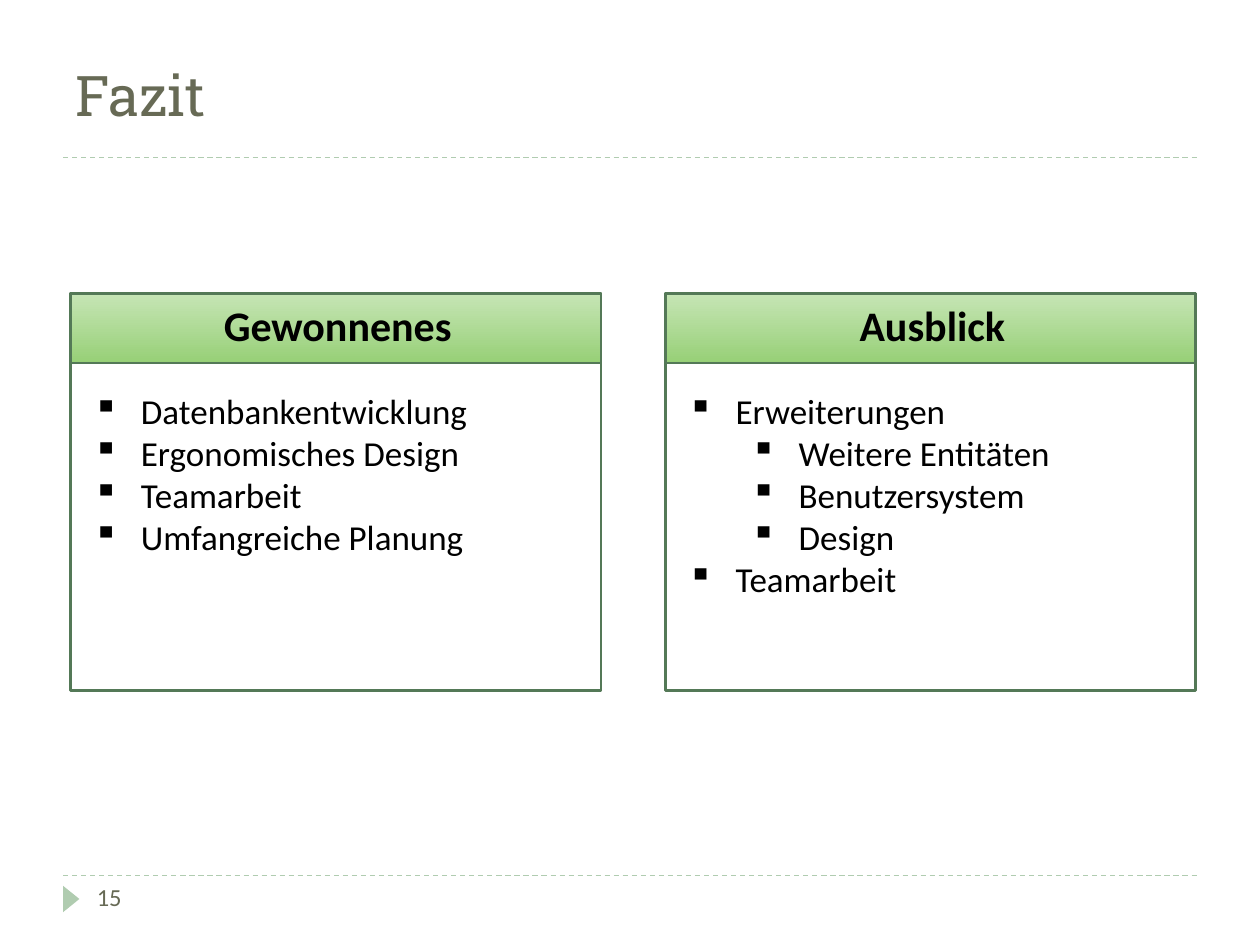
from dataclasses import dataclass

from lxml import etree
from pptx import Presentation
from pptx.dml.color import RGBColor
from pptx.enum import dml, shapes, text
from pptx.oxml import ns
from pptx.util import Inches, Pt

TITLE = "Fazit"
PAGE_NUMBER = "15"
PANELS = [
    ("Gewonnenes", [
        ("Datenbankentwicklung", 0),
        ("Ergonomisches Design", 0),
        ("Teamarbeit", 0),
        ("Umfangreiche Planung", 0),
    ]),
    ("Ausblick", [
        ("Erweiterungen", 0),
        ("Weitere Entitäten", 1),
        ("Benutzersystem", 1),
        ("Design", 1),
        ("Teamarbeit", 0),
    ]),
]


@dataclass(frozen=True)
class Theme:
    title_font: str = "Roboto Slab"
    body_font: str = "Calibri"
    title_size: int = 32
    heading_size: int = 24
    body_size: int = 20
    number_size: int = 14
    muted: str = "676A55"
    ink: str = "000000"
    accent: str = "B0CCB0"
    border: str = "547957"
    paper: str = "FFFFFF"
    header_bottom: str = "97D077"
    header_top: str = "C6E5B5"


THEME = Theme()
RULES_Y = (6.95, 1.25)
RULE_LEFT, RULE_RIGHT = 0.5, 9.5
PANEL_LEFT, PANEL_TOP, PANEL_PITCH = 0.56, 2.33, 4.72
PANEL_WIDTH, PANEL_HEIGHT, HEADER_HEIGHT = 4.21, 3.15, 0.55
LINE_HEIGHT, BULLET_INDENT, LEVEL_INDENT = 0.33, 0.38, 0.5


def color(value):
    return RGBColor.from_string(value)


def box(*lengths):
    return [Inches(length) for length in lengths]


def add_bullet(paragraph, level):
    paragraph.level = level
    properties = paragraph._p.get_or_add_pPr()
    properties.set("marL", str(Inches(BULLET_INDENT + LEVEL_INDENT * level)))
    properties.set("indent", str(-Inches(BULLET_INDENT)))
    etree.SubElement(properties, ns.qn("a:buChar")).set("char", "▪")


def add_text(slide, lines, place, size, font=THEME.body_font, ink=THEME.ink, bold=False,
             align=text.PP_ALIGN.LEFT, anchor=text.MSO_ANCHOR.TOP, before=0, bullets=False):
    frame = slide.shapes.add_textbox(*box(*place)).text_frame
    frame.word_wrap = True
    frame.vertical_anchor = anchor
    for index, (line, level) in enumerate(lines):
        paragraph = frame.add_paragraph() if index else frame.paragraphs[0]
        paragraph.alignment = align
        paragraph.space_before = Pt(before)
        if bullets:
            add_bullet(paragraph, level)
        run = paragraph.add_run()
        run.text = line
        run.font.name = font
        run.font.size = Pt(size)
        run.font.bold = bold
        run.font.color.rgb = color(ink)


def add_rule(slide, y):
    rule = slide.shapes.add_connector(
        shapes.MSO_CONNECTOR.STRAIGHT, *box(RULE_LEFT, y, RULE_RIGHT, y))
    rule.line.color.rgb = color(THEME.accent)
    rule.line.width = Pt(0.75)
    rule.line.dash_style = dml.MSO_LINE.DASH
    etree.SubElement(rule._element.spPr, ns.qn("a:effectLst"))


def add_marker(slide):
    marker = slide.shapes.add_shape(
        shapes.MSO_SHAPE.ISOSCELES_TRIANGLE, *box(0.46, 7.07, 0.21, 0.13))
    marker.rotation = 90
    marker.shadow.inherit = False
    marker.fill.solid()
    marker.fill.fore_color.rgb = color(THEME.accent)
    marker.line.fill.background()


def add_frame(slide, left, height):
    frame = slide.shapes.add_shape(
        shapes.MSO_SHAPE.RECTANGLE, *box(left, PANEL_TOP, PANEL_WIDTH, height))
    frame.shadow.inherit = False
    frame.fill.solid()
    frame.fill.fore_color.rgb = color(THEME.paper)
    frame.line.color.rgb = color(THEME.border)
    frame.line.width = Pt(1.5)
    return frame


def add_panel(slide, left, heading, items):
    add_frame(slide, left, PANEL_HEIGHT)
    header = add_frame(slide, left, HEADER_HEIGHT)
    header.fill.gradient()
    header.fill.gradient_angle = 90
    for stop, value in zip(header.fill.gradient_stops, (THEME.header_bottom, THEME.header_top)):
        stop.color.rgb = color(value)
    add_text(slide, items, (left + 0.08, 3.04, 3.94, 0.1 + LINE_HEIGHT * len(items)),
             THEME.body_size, bullets=True)
    add_text(slide, [(heading, 0)], (left + 0.23, 2.38, 3.78, 0.45), THEME.heading_size,
             bold=True, align=text.PP_ALIGN.CENTER, anchor=text.MSO_ANCHOR.BOTTOM, before=6)


def main():
    presentation = Presentation()
    presentation.slide_width, presentation.slide_height = box(10, 7.5)
    slide = presentation.slides.add_slide(presentation.slide_layouts[6])
    for y in RULES_Y:
        add_rule(slide, y)
    add_marker(slide)
    add_text(slide, [(TITLE, 0)], (0.5, 0.25, 9, 1), THEME.title_size, font=THEME.title_font,
             ink=THEME.muted, anchor=text.MSO_ANCHOR.MIDDLE)
    add_text(slide, [(PAGE_NUMBER, 0)], (0.67, 6.95, 2.17, 0.4), THEME.number_size,
             ink=THEME.muted)
    for index, (heading, items) in enumerate(PANELS):
        add_panel(slide, PANEL_LEFT + index * PANEL_PITCH, heading, items)
    presentation.save("out.pptx")


if __name__ == "__main__":
    main()
